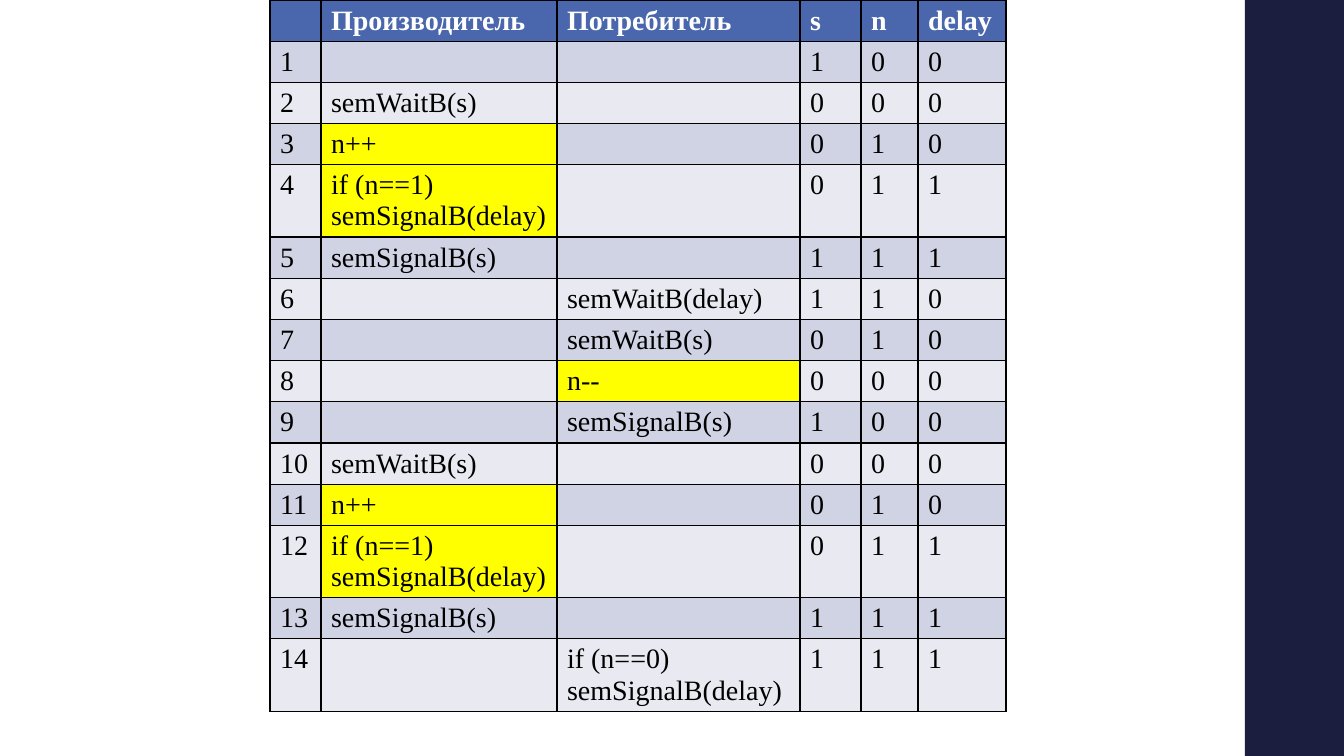
from dataclasses import dataclass

from lxml import etree
from pptx import Presentation, util as u
from pptx.dml.color import RGBColor
from pptx.enum import shapes
from pptx.oxml import ns

PX = 9071.43  # EMU per px: 1344 x 756 px on a 13.33 x 7.5 in slide


@dataclass(frozen=True)
class Theme:
    font: str = "Times New Roman"
    size: int = 20
    border_pt: int = 1
    border: str = "000000"
    sidebar: str = "1B1E3E"
    header: str = "4A66AC"
    header_text: str = "FFFFFF"
    text: str = "000000"
    bands: tuple[str, str] = ("D0D3E3", "E9EAF1")
    highlight: str = "FFFF00"


@dataclass(frozen=True)
class Step:
    producer: str
    consumer: str
    s: int
    n: int
    delay: int
    highlighted: bool = False


THEME = Theme()
HEADINGS = ("", "Производитель", "Потребитель", "s", "n", "delay")
COLUMNS = (51, 236, 243, 61, 57, 88)
ROW_HEIGHT = 31
TABLE_LEFT = 270
STEPS = (
    Step("", "", 1, 0, 0),
    Step("semWaitB(s)", "", 0, 0, 0),
    Step("n++", "", 0, 1, 0, True),
    Step("if (n==1) semSignalB(delay)", "", 0, 1, 1, True),
    Step("semSignalB(s)", "", 1, 1, 1),
    Step("", "semWaitB(delay)", 1, 1, 0),
    Step("", "semWaitB(s)", 0, 1, 0),
    Step("", "n--", 0, 0, 0, True),
    Step("", "semSignalB(s)", 1, 0, 0),
    Step("semWaitB(s)", "", 0, 0, 0),
    Step("n++", "", 0, 1, 0, True),
    Step("if (n==1) semSignalB(delay)", "", 0, 1, 1, True),
    Step("semSignalB(s)", "", 1, 1, 1),
    Step("", "if (n==0) semSignalB(delay)", 1, 1, 1),
)


def px(n: int) -> u.Emu:
    return u.Emu(round(n * PX))


def rgb(color: str) -> RGBColor:
    return RGBColor.from_string(color)


def add_borders(cell) -> None:
    tc_pr = cell._tc.get_or_add_tcPr()
    for side in ("lnL", "lnR", "lnT", "lnB"):
        ln = etree.SubElement(tc_pr, ns.qn(f"a:{side}"), w=str(u.Pt(THEME.border_pt)))
        fill = etree.SubElement(ln, ns.qn("a:solidFill"))
        etree.SubElement(fill, ns.qn("a:srgbClr"), val=THEME.border)


def fill_cell(cell, value: str, fill: str, color: str, bold: bool = False) -> None:
    add_borders(cell)
    cell.fill.solid()
    cell.fill.fore_color.rgb = rgb(fill)
    cell.text = value
    font = cell.text_frame.paragraphs[0].font
    font.name, font.size, font.bold = THEME.font, u.Pt(THEME.size), bold
    font.color.rgb = rgb(color)


def add_sidebar(slide) -> None:
    sp = slide.shapes.add_shape(
        shapes.MSO_SHAPE.RECTANGLE, px(1245), 0, px(99), px(756))
    sp.shadow.inherit = False
    sp.fill.solid()
    sp.fill.fore_color.rgb = rgb(THEME.sidebar)
    sp.line.fill.background()


def add_trace(slide) -> None:
    rows = len(STEPS) + 1
    table = slide.shapes.add_table(
        rows, len(COLUMNS), px(TABLE_LEFT), 0,
        px(sum(COLUMNS)), px(rows * ROW_HEIGHT)).table
    for column, width in zip(table.columns, COLUMNS):
        column.width = px(width)

    # Header
    for cell, heading in zip(table.rows[0].cells, HEADINGS):
        fill_cell(cell, heading, THEME.header, THEME.header_text, bold=True)

    # Numbered steps, with the highlighted operation in its own column
    for number, step in enumerate(STEPS, 1):
        band = THEME.bands[(number - 1) % 2]
        values = (number, step.producer, step.consumer, step.s, step.n, step.delay)
        for col, value in enumerate(values):
            marked = step.highlighted and col in (1, 2) and value
            fill_cell(table.cell(number, col), str(value),
                      THEME.highlight if marked else band, THEME.text)


def main() -> None:
    prs = Presentation()
    prs.slide_width, prs.slide_height = px(1344), px(756)
    slide = prs.slides.add_slide(prs.slide_layouts[6])
    add_sidebar(slide)
    add_trace(slide)
    prs.save("out.pptx")


if __name__ == "__main__":
    main()
